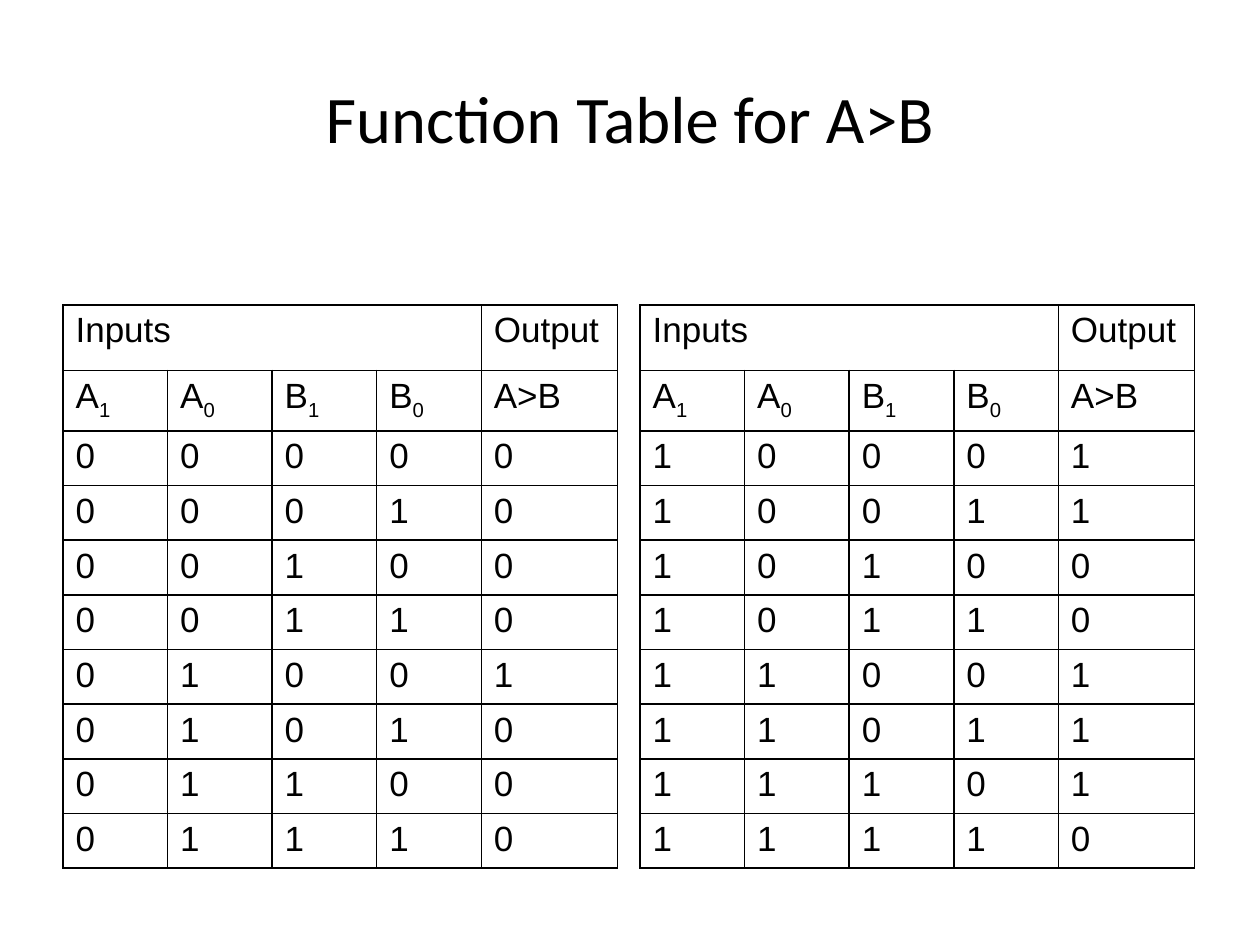
"""Build a slide with the two-part function table of a two-bit A>B comparator."""
from itertools import product

from lxml.etree import SubElement
from pptx import Presentation
from pptx.dml.color import RGBColor
from pptx.enum.text import MSO_ANCHOR, PP_ALIGN
from pptx.oxml.ns import qn
from pptx.util import Inches, Pt

TITLE = "Function Table for A>B"
GROUPS = ["Inputs", "", "", "", "Output"]
SIGNALS = [("A", "1"), ("A", "0"), ("B", "1"), ("B", "0"), ("A>B", "")]
HALVES = [
    {"leading": "0", "outputs": "00001000", "left": 0.5, "hanging": 0.38},
    {"leading": "1", "outputs": "11001110", "left": 5.08, "hanging": 0},
]
TABLE_TOP = 2.42
COLUMN_WIDTHS = [0.83] * 4 + [1.08]
ROW_HEIGHTS = [0.52] + [0.43] * 9

BLACK = RGBColor(0, 0, 0)
BORDER_WIDTH = Pt(1)


def add_run(para, text, size, font, subscript=False):
    span = para.add_run()
    span.text = text
    span.font.size = Pt(size)
    span.font.name = font
    span.font.color.rgb = BLACK
    if subscript:
        span.font._element.set("baseline", "-25000")


def add_title(page):
    box = page.shapes.add_textbox(Inches(0.5), Inches(0.3), Inches(9), Inches(1.25))
    frame = box.text_frame
    frame.word_wrap = True
    frame.vertical_anchor = MSO_ANCHOR.MIDDLE
    para = frame.paragraphs[0]
    para.alignment = PP_ALIGN.CENTER
    add_run(para, TITLE, 38, "Calibri")


def style_cell(cell):
    properties = cell._tc.get_or_add_tcPr()
    for side in ("a:lnL", "a:lnR", "a:lnT", "a:lnB"):
        line = SubElement(properties, qn(side), w=str(BORDER_WIDTH))
        fill = SubElement(line, qn("a:solidFill"))
        SubElement(fill, qn("a:srgbClr"), val=str(BLACK))
    cell.fill.background()


def fill_cell(cell, text, subscript, hanging):
    para = cell.text_frame.paragraphs[0]
    para.alignment = PP_ALIGN.JUSTIFY
    if hanging:
        properties = para._p.get_or_add_pPr()
        properties.set("marL", str(Inches(hanging)))
        properties.set("indent", str(-Inches(hanging)))
    add_run(para, text, 20, "Arial")
    if subscript:
        add_run(para, subscript, 20, "Arial", subscript=True)


def add_half(page, half):
    inputs = product(half["leading"], "01", "01", "01")
    bits = [[*row, output] for row, output in zip(inputs, half["outputs"])]
    rows = [[(text, "") for text in row] for row in [GROUPS, *bits]]
    rows.insert(1, SIGNALS)

    table = page.shapes.add_table(
        len(rows), len(SIGNALS), Inches(half["left"]), Inches(TABLE_TOP),
        Inches(sum(COLUMN_WIDTHS)), Inches(sum(ROW_HEIGHTS)),
    ).table
    table.first_row = False
    table.horz_banding = False
    for column, width in zip(table.columns, COLUMN_WIDTHS):
        column.width = Inches(width)
    for row, height in zip(table.rows, ROW_HEIGHTS):
        row.height = Inches(height)
    table.cell(0, 0).merge(table.cell(0, 3))

    for row, contents in zip(table.rows, rows):
        for cell, (text, subscript) in zip(row.cells, contents):
            style_cell(cell)
            if text:
                fill_cell(cell, text, subscript, half["hanging"])


def main():
    deck = Presentation()
    deck.slide_width = Inches(10)
    deck.slide_height = Inches(7.5)
    page = deck.slides.add_slide(deck.slide_layouts[6])
    add_title(page)
    for half in HALVES:
        add_half(page, half)
    deck.save("out.pptx")


if __name__ == "__main__":
    main()
